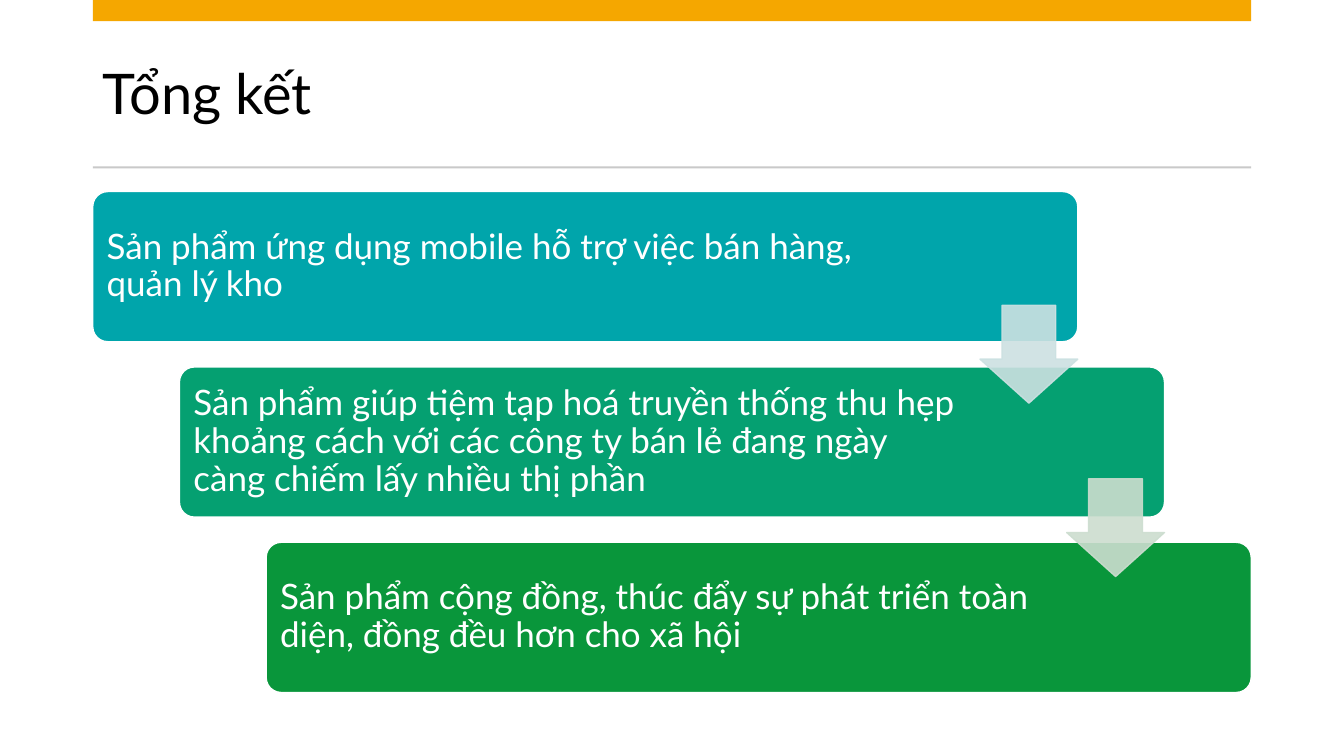
from dataclasses import dataclass

from lxml import etree
from pptx import Presentation
from pptx.dml.color import RGBColor
from pptx.enum.shapes import MSO_SHAPE
from pptx.enum.text import MSO_ANCHOR
from pptx.oxml.ns import qn
from pptx.shapes.autoshape import Shape
from pptx.slide import Slide
from pptx.util import Pt

RECT = MSO_SHAPE.RECTANGLE
ROUNDED = MSO_SHAPE.ROUNDED_RECTANGLE
DOWN_ARROW = MSO_SHAPE.DOWN_ARROW
MIDDLE = MSO_ANCHOR.MIDDLE

PX = 9144  # EMU, 100 px to the inch
FONT = "Lato"
COLORS = {
    "white": "FFFFFF",
    "black": "000000",
    "orange": "F5A700",
    "rule": "C9C9C9",
    "teal": "00A5AB",
    "jade": "05A071",
    "green": "09963B",
    "pale_teal": "CCE1E2",
    "pale_jade": "CCDDCF",
}

LEFT, WIDTH = 92, 1149
CARD_TOP, CARD_W, CARD_H = 190, 977, 149
STEP_X, STEP_Y = 86, 174
TEXT_INSET = 4
ARROW_DX, ARROW_TOP, ARROW_STEP_Y, ARROW_SIZE = 880, 303, 172, 97


@dataclass
class Card:
    text: str
    fill: str
    text_w: int


CARDS = [
    Card("Sản phẩm ứng dụng mobile hỗ trợ việc bán hàng, quản lý kho", "teal", 816),
    Card("Sản phẩm giúp tiệm tạp hoá truyền thống thu hẹp khoảng cách với các công ty "
         "bán lẻ đang ngày càng chiếm lấy nhiều thị phần", "jade", 785),
    Card("Sản phẩm cộng đồng, thúc đẩy sự phát triển toàn diện, đồng đều hơn cho xã hội",
         "green", 785),
]
ARROW_COLORS = ["pale_teal", "pale_jade"]


def rgb(name: str) -> RGBColor:
    return RGBColor.from_string(COLORS[name])


def add_shape(s: Slide, kind: MSO_SHAPE, x: int, y: int, w: int, h: int,
              fill: str, line: str = "") -> Shape:
    sp = s.shapes.add_shape(kind, x * PX, y * PX, w * PX, h * PX)
    sp.shadow.inherit = False
    sp.fill.solid()
    sp.fill.fore_color.rgb = rgb(fill)
    if line:
        sp.line.color.rgb = rgb(line)
        sp.line.width = Pt(1)
    else:
        sp.line.fill.background()
    return sp


def add_text(s: Slide, text: str, x: int, y: int, w: int, h: int,
             size: int, color: str, inset_y: int) -> None:
    tf = s.shapes.add_textbox(x * PX, y * PX, w * PX, h * PX).text_frame
    tf.word_wrap = True
    tf.vertical_anchor = MIDDLE
    tf.margin_left = tf.margin_right = 10 * PX
    tf.margin_top = tf.margin_bottom = inset_y * PX
    p = tf.paragraphs[0]
    p.line_spacing = 0.9
    r = p.add_run()
    r.text = text
    r.font.name = FONT
    r.font.size = Pt(size)
    r.font.color.rgb = rgb(color)


def set_opacity(sp: Shape, percent: int) -> None:
    """Apply the opacity to both the fill and the outline."""
    for clr in sp.element.spPr.iter(qn("a:srgbClr")):
        etree.SubElement(clr, qn("a:alpha")).set("val", str(percent * 1000))


def add_card(s: Slide, i: int, card: Card) -> None:
    x, y = LEFT + i * STEP_X, CARD_TOP + i * STEP_Y
    sp = add_shape(s, ROUNDED, x, y, CARD_W, CARD_H, card.fill, "white")
    sp.adjustments[0] = 0.1
    add_text(s, card.text, x + TEXT_INSET, y + TEXT_INSET, card.text_w,
             CARD_H - 2 * TEXT_INSET, 25, "white", 10)


def add_arrow(s: Slide, i: int, color: str) -> None:
    sp = add_shape(s, DOWN_ARROW, LEFT + ARROW_DX + i * STEP_X,
                   ARROW_TOP + i * ARROW_STEP_Y, ARROW_SIZE, ARROW_SIZE, color, color)
    # The arrow's first adjustment is the shaft width, the second the head length
    sp.adjustments[0] = 0.55
    sp.adjustments[1] = 0.45
    set_opacity(sp, 90)


def main() -> None:
    prs = Presentation()
    prs.slide_width, prs.slide_height = 1333 * PX, 750 * PX
    s = prs.slides.add_slide(prs.slide_layouts[6])

    add_text(s, "Tổng kết", LEFT, 37, WIDTH, 118, 40, "black", 5)
    add_shape(s, RECT, LEFT, 0, WIDTH, 21, "orange")
    add_shape(s, RECT, LEFT, 165, WIDTH, 2, "rule")
    for i, card in enumerate(CARDS):
        add_card(s, i, card)
    for i, color in enumerate(ARROW_COLORS):
        add_arrow(s, i, color)

    prs.save("out.pptx")


if __name__ == "__main__":
    main()
